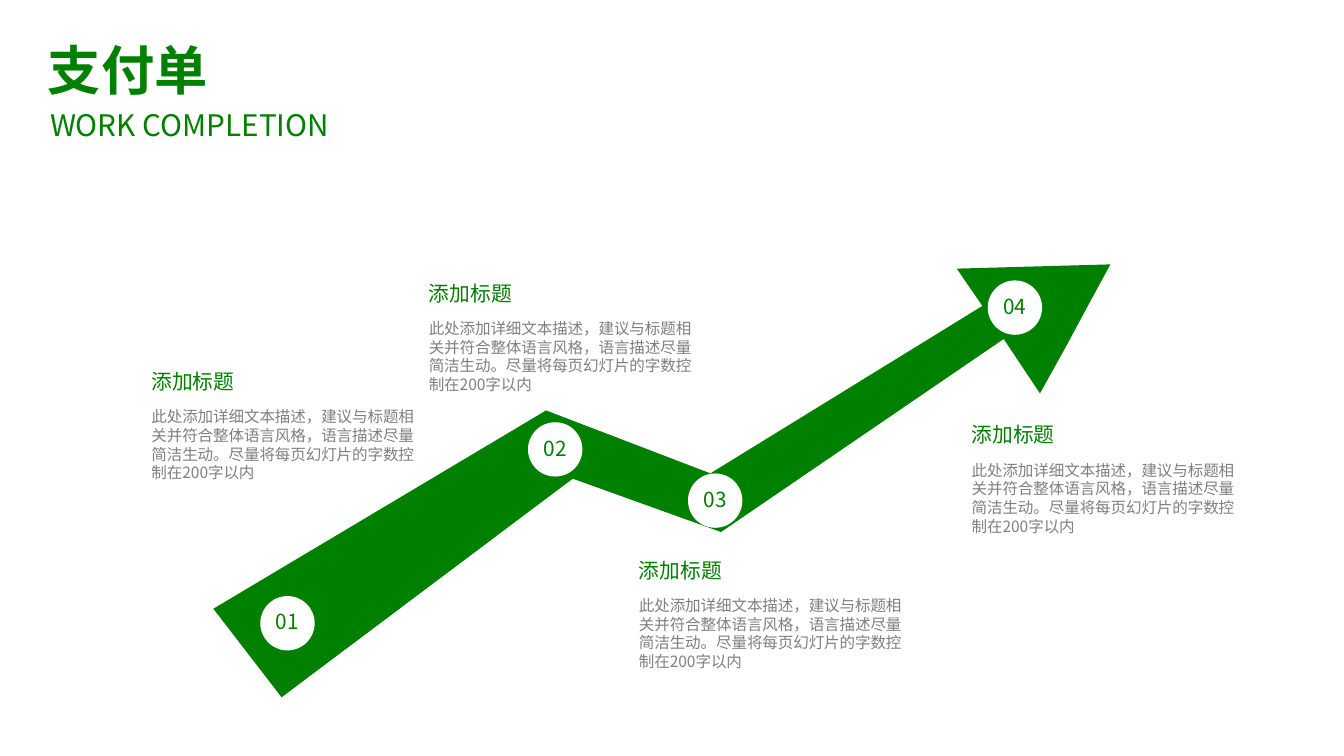
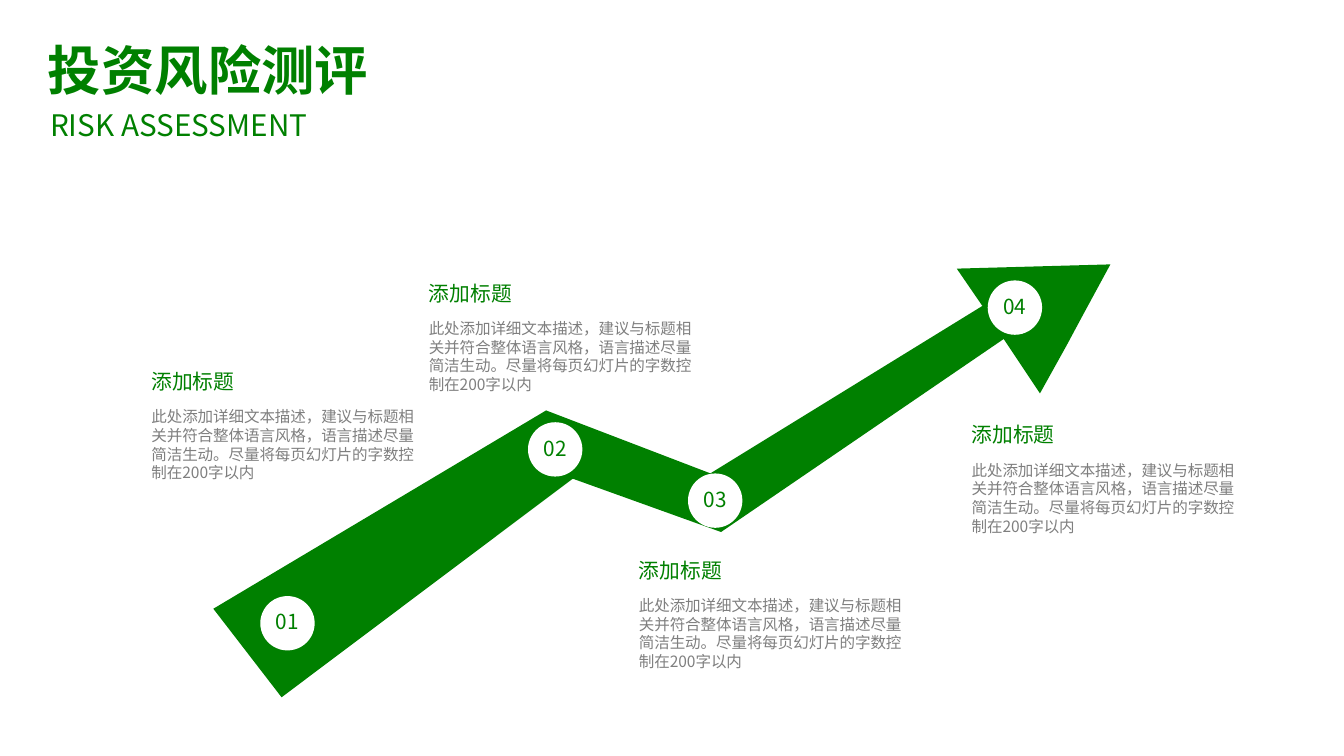
from lxml import etree
from pptx import Presentation
from pptx.dml import color as colors
from pptx.enum import shapes, text
from pptx.oxml import ns
from pptx import util as u

PX = 9144
SLIDE_SIZE = (1260, 709)
FONT = "Noto Sans CJK SC"
COLORS = {"green": "008000", "white": "FFFFFF", "gray": "7F7F7F"}

TITLES = [("支付单", "WORK COMPLETION"), ("投资风险测评", "RISK ASSESSMENT")]
HEADER_BOX = (34, 29, 399, 105)
ROUTE_BOX = (200, 248, 841, 406)
ARROW_POINTS = [
    (697, 4), (721, 39), (466, 196), (312, 137), (0, 323), (64, 406), (337, 201),
    (476, 251), (741, 70), (775, 121), (800, 76), (815, 48), (841, 0),
]
MARKER_SIZE = 51
MARKERS = [(44, 311), (295, 148), (445, 196), (726, 15)]
NOTE_SIZE = (260, 110)
NOTES = [(142, 343), (402, 260), (599, 520), (911, 393)]
HEADING = "添加标题"
DESCRIPTION = (
    "此处添加详细文本描述，建议与标题相关并符合整体语言风格，"
    "语言描述尽量简洁生动。尽量将每页幻灯片的字数控制在200字以内"
)


def px(*lengths):
    """Turn px lengths into EMU."""
    return [u.Emu(length * PX) for length in lengths]


def rgb(name):
    """Return a palette colour."""
    return colors.RGBColor.from_string(COLORS[name])


def write(shape, content, size, color="green", bold=False, align="LEFT",
          anchor="TOP", insets=(0, 0, 0, 0), spacing=None, wrap=True):
    """Put one formatted paragraph into a shape."""
    frame = shape.text_frame
    frame.word_wrap = wrap
    frame.auto_size = text.MSO_AUTO_SIZE.NONE
    frame.vertical_anchor = text.MSO_ANCHOR[anchor]
    frame.margin_left, frame.margin_top, frame.margin_right, frame.margin_bottom = px(*insets)
    paragraph = frame.paragraphs[0]
    paragraph.alignment = text.PP_ALIGN[align]
    paragraph.space_before = u.Pt(0)
    if spacing:
        paragraph.line_spacing = spacing
    run = paragraph.add_run()
    run.text = content
    run.font.size = u.Pt(size)
    run.font.bold = bold
    run.font.color.rgb = rgb(color)
    run.font.name = FONT
    latin = run.font._element.find(ns.qn("a:latin"))
    east_asian = etree.Element(ns.qn("a:ea"), typeface=FONT)
    latin.addnext(east_asian)


def paint(shape, color):
    """Give a shape a flat fill without outline or shadow."""
    shape.shadow.inherit = False
    shape.fill.solid()
    shape.fill.fore_color.rgb = rgb(color)
    shape.line.fill.background()


def add_header(slide, box, title, subtitle):
    """Place the title and the line below it."""
    left, top, width, height = box
    shape = slide.shapes.title
    shape.left, shape.top, shape.width, shape.height = px(left, top, width, 72)
    write(shape, title, 36, bold=True, insets=(11, 6, 11, 6))
    caption = slide.shapes.add_textbox(*px(left + 13, top + 71, width - 5, height - 71))
    write(caption, subtitle, 20)


def add_route(slide, box):
    """Draw the bent arrow with its numbered markers."""
    left, top = box[:2]
    builder = slide.shapes.build_freeform(*ARROW_POINTS[0], scale=PX)
    builder.add_line_segments(ARROW_POINTS[1:], close=True)
    paint(builder.convert_to_shape(*px(left, top)), "green")
    for number, (x, y) in enumerate(MARKERS, 1):
        marker = slide.shapes.add_shape(
            shapes.MSO_SHAPE.OVAL, *px(left + x, top + y, MARKER_SIZE, MARKER_SIZE))
        paint(marker, "white")
        write(marker, f"{number:02}", 14, align="CENTER", anchor="MIDDLE",
              spacing=0.9, wrap=False)


def add_note(slide, box):
    """Place a heading above its description."""
    left, top, width, height = box
    heading = slide.shapes.add_textbox(*px(left, top, width, 32))
    write(heading, HEADING, 14, anchor="MIDDLE", insets=(0, 5, 0, 5), spacing=0.9)
    description = slide.shapes.add_textbox(*px(left, top + 39, width, height - 39))
    write(description, DESCRIPTION, 10.5, color="gray")


def add_route_slide(presentation, title, subtitle):
    """Build one slide with header, arrow and notes."""
    slide = presentation.slides.add_slide(presentation.slide_layouts.get_by_name("Title Only"))
    add_header(slide, HEADER_BOX, title, subtitle)
    add_route(slide, ROUTE_BOX)
    for corner in NOTES:
        add_note(slide, corner + NOTE_SIZE)


def main():
    """Build and save the presentation."""
    presentation = Presentation()
    presentation.slide_width, presentation.slide_height = px(*SLIDE_SIZE)
    for title, subtitle in TITLES:
        add_route_slide(presentation, title, subtitle)
    presentation.save("out.pptx")


if __name__ == "__main__":
    main()
